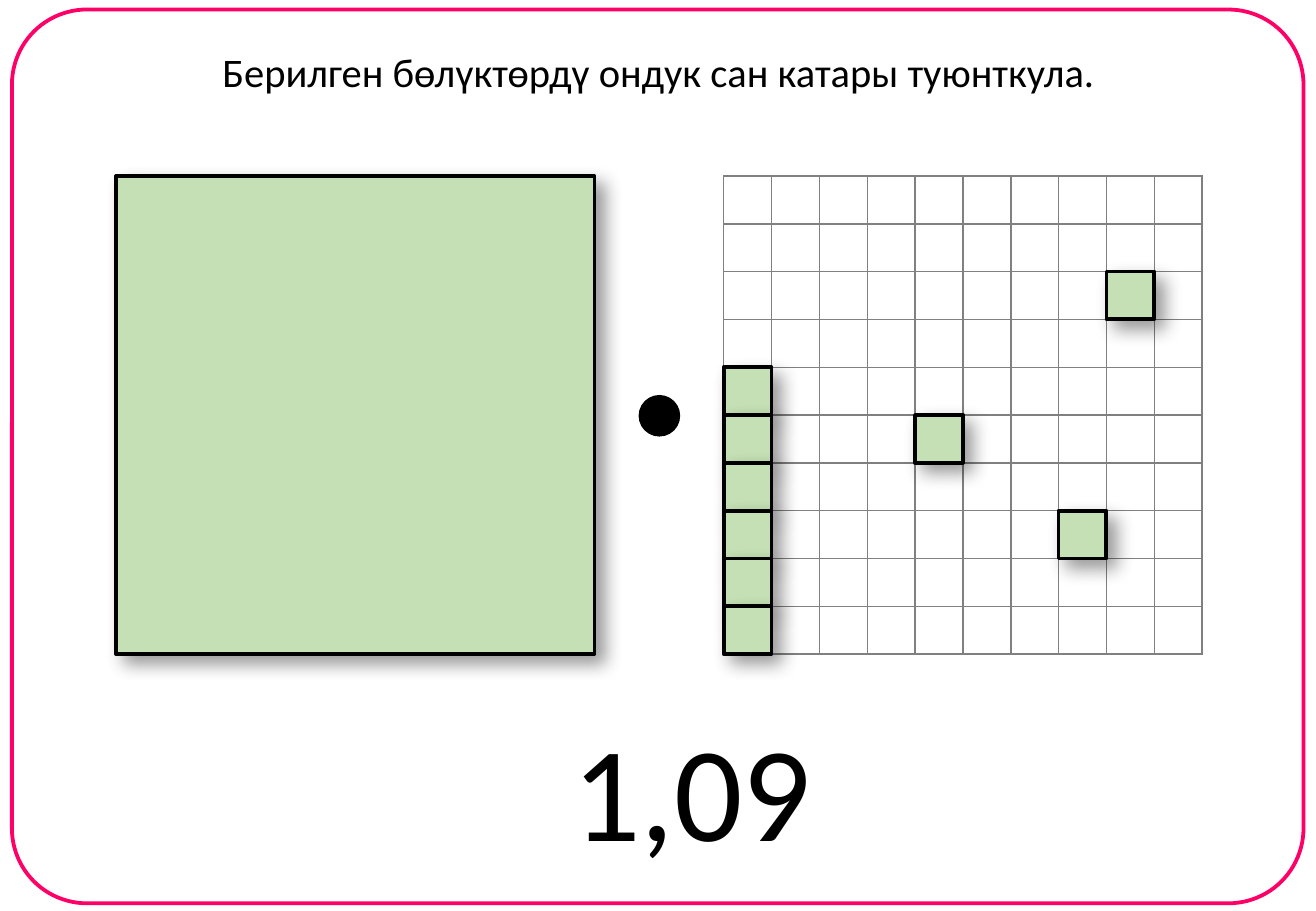
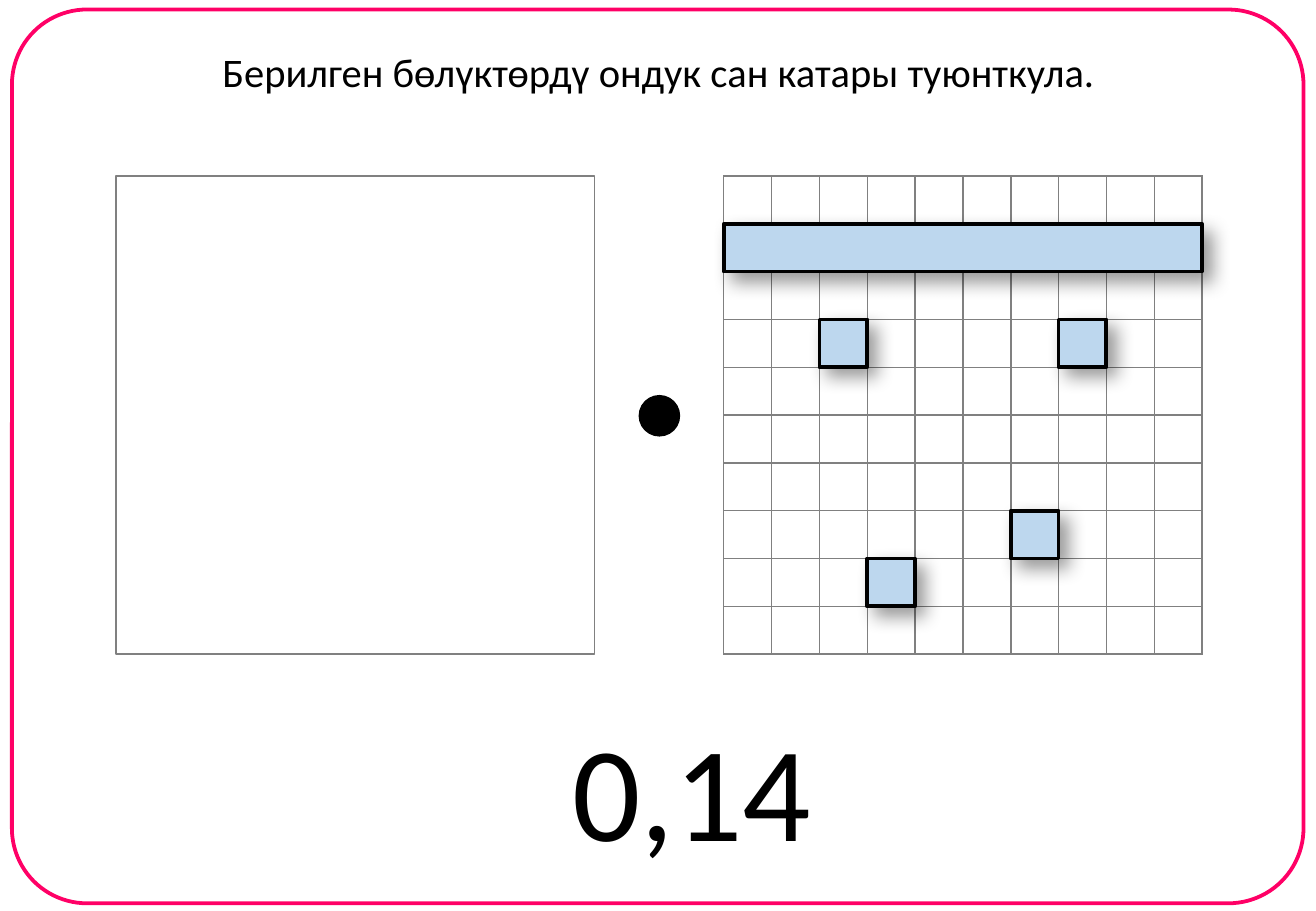
from lxml import etree
from pptx import Presentation
from pptx import util as u
from pptx.dml.color import RGBColor
from pptx.enum import shapes, text
from pptx.oxml.ns import qn

# Content: pieces are (column, row, columns wide, rows high) on the grid
TASK = "Берилген бөлүктөрдү ондук сан катары туюнткула."
CARDS = [
    {"answer": "1,09", "color": "green", "whole": True,
     "pieces": [(8, 2, 1, 1), (4, 5, 1, 1), (7, 7, 1, 1)]
               + [(0, row, 1, 1) for row in range(4, 10)]},
    {"answer": "0,14", "color": "blue", "whole": False,
     "pieces": [(6, 7, 1, 1), (7, 3, 1, 1), (2, 3, 1, 1), (3, 8, 1, 1),
                (0, 1, 10, 1)]},
]

# Shared style; one px is a hundredth of a grid cell (1 cm)
COLORS = {"frame": "FF0066", "grid": "808080", "paper": "FFFFFF",
          "ink": "000000", "green": "C5E0B4", "blue": "BDD7EE"}
FONT = "Calibri"
EMU_PER_PX = 3600
SLIDE_SIZE = (2751, 1905)
FRAME_BOX = (25, 20, 2700, 1869)
TITLE_BOX = (429, 86, 1895, 127)
ANSWER_BOX = (1168, 1466, 556, 368)
DOT_BOX = (1339, 830, 79, 79)
WHOLE_LEFT, GRID_LEFT, GRID_TOP = 243, 1513, 368
CELL, COUNT = 100, 10
SIDE = CELL * COUNT
THICK, THIN = 2.25, 1


def px(*lengths):
    return [u.Emu(length * EMU_PER_PX) for length in lengths]


def rgb(name):
    return RGBColor.from_string(COLORS[name])


def add_color(parent, name):
    fill = etree.SubElement(parent, qn("a:srgbClr"))
    fill.set("val", COLORS[name])
    return fill


def add_shape(slide, kind, box, fill, line="ink", width=THICK):
    shape = slide.shapes.add_shape(kind, *px(*box))
    shape.shadow.inherit = False
    if fill:
        shape.fill.solid()
        shape.fill.fore_color.rgb = rgb(fill)
    else:
        shape.fill.background()
    shape.line.color.rgb = rgb(line)
    shape.line.width = u.Pt(width)
    return shape


def add_piece(slide, box, fill):
    shape = add_shape(slide, shapes.MSO_SHAPE.RECTANGLE, box, fill)
    effects = shape._element.spPr.find(qn("a:effectLst"))
    shadow = etree.SubElement(effects, qn("a:outerShdw"), {
        "blurRad": str(u.Pt(11)), "dist": str(u.Pt(7)),
        "dir": str(45 * 60000), "algn": "tl", "rotWithShape": "0"})
    alpha = etree.SubElement(add_color(shadow, "ink"), qn("a:alpha"))
    alpha.set("val", "40000")


def add_grid(slide):
    table = slide.shapes.add_table(
        COUNT, COUNT, *px(GRID_LEFT, GRID_TOP, SIDE, SIDE)).table
    table.first_row = table.horz_banding = False
    for cell in table.iter_cells():
        cell.margin_top = cell.margin_bottom = 0
        properties = cell._tc.get_or_add_tcPr()
        for edge in ("lnL", "lnR", "lnT", "lnB"):
            line = etree.SubElement(properties, qn("a:" + edge),
                                    w=str(u.Pt(THIN)))
            add_color(etree.SubElement(line, qn("a:solidFill")), "grid")
        cell.fill.solid()
        cell.fill.fore_color.rgb = rgb("paper")


def write_text(shape, box, words, size):
    shape.left, shape.top, shape.width, shape.height = px(*box)
    frame = shape.text_frame
    frame.text = words
    frame.word_wrap = False
    frame.auto_size = text.MSO_AUTO_SIZE.SHAPE_TO_FIT_TEXT
    frame.vertical_anchor = text.MSO_ANCHOR.TOP
    paragraph = frame.paragraphs[0]
    paragraph.alignment = text.PP_ALIGN.CENTER
    paragraph.font.name = FONT
    paragraph.font.size = u.Pt(size)
    paragraph.font.color.rgb = rgb("ink")


def build_card(presentation, card):
    slide = presentation.slides.add_slide(presentation.slide_layouts[5])
    write_text(slide.shapes.title, TITLE_BOX, TASK, 24)

    # Rounded frame and hundredths grid
    frame = add_shape(slide, shapes.MSO_SHAPE.ROUNDED_RECTANGLE, FRAME_BOX,
                      None, "frame")
    frame.adjustments[0] = 0.084
    add_grid(slide)

    # Whole square, filled or empty
    whole_box = (WHOLE_LEFT, GRID_TOP, SIDE, SIDE)
    if card["whole"]:
        add_piece(slide, whole_box, card["color"])
    else:
        add_shape(slide, shapes.MSO_SHAPE.RECTANGLE, whole_box,
                  "paper", "grid", THIN)

    # Decimal point, answer and pieces
    add_shape(slide, shapes.MSO_SHAPE.OVAL, DOT_BOX, "ink")
    answer = slide.shapes.add_textbox(*px(*ANSWER_BOX))
    write_text(answer, ANSWER_BOX, card["answer"], 80)
    for column, row, wide, high in card["pieces"]:
        add_piece(slide, (GRID_LEFT + column * CELL, GRID_TOP + row * CELL,
                          wide * CELL, high * CELL), card["color"])


def main():
    presentation = Presentation()
    presentation.slide_width, presentation.slide_height = px(*SLIDE_SIZE)
    for card in CARDS:
        build_card(presentation, card)
    presentation.save("out.pptx")


if __name__ == "__main__":
    main()
